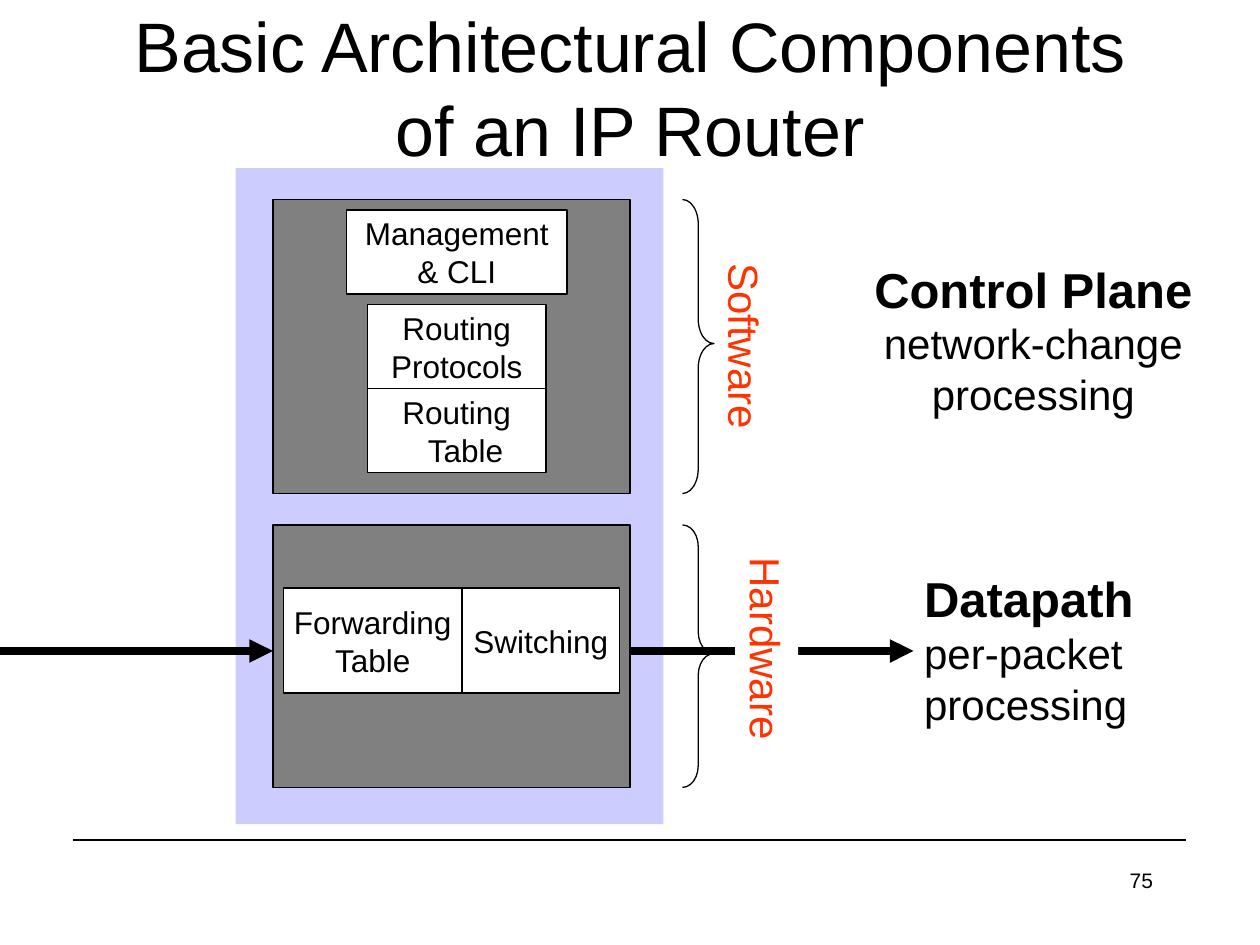
from lxml import etree
from pptx import Presentation
from pptx.dml.color import RGBColor
from pptx.enum.shapes import MSO_CONNECTOR, MSO_SHAPE
from pptx.enum.text import MSO_ANCHOR, PP_ALIGN
from pptx.oxml.ns import qn
from pptx.util import Pt

RECTANGLE, BRACE = MSO_SHAPE.RECTANGLE, MSO_SHAPE.RIGHT_BRACE
STRAIGHT = MSO_CONNECTOR.STRAIGHT
TOP, MIDDLE = MSO_ANCHOR.TOP, MSO_ANCHOR.MIDDLE
LEFT, CENTER, RIGHT = PP_ALIGN.LEFT, PP_ALIGN.CENTER, PP_ALIGN.RIGHT

BLACK = RGBColor(0x00, 0x00, 0x00)
WHITE = RGBColor(0xFF, 0xFF, 0xFF)
GRAY = RGBColor(0x80, 0x80, 0x80)
LAVENDER = RGBColor(0xCC, 0xCC, 0xFF)
RED = RGBColor(0xFF, 0x33, 0x00)

FONT = "Arial"
THIN, THICK = 0.75, 4.5

# Boxes are (left, top, width, height) in points
ROUTER = (134.64, 96, 244.5, 375)
PLANES = [(156, 114, 204, 168), (156, 300, 204, 150)]
BRACE_LEFT, BRACE_WIDTH = 390, 18
BRACE_CURVES = [0.78, 0.69]
BRACE_POINT = 0.49

COMPONENTS = [
    (["Switching"], (264, 336, 90, 60)),
    (["Forwarding", "Table"], (162, 336, 102, 60)),
    (["Routing", "Table"], (210, 222, 102, 48)),
    (["Routing", "Protocols"], (210, 174, 102, 48)),
    (["Management", "& CLI"], (198, 120, 126, 48)),
]
TABLE_INDENT = {("Routing", "Table"): 10}

TITLE = "Basic Architectural Components\vof an IP Router"
TITLE_BOX = (54, 4.5, 612, 90)
DESCRIPTIONS = [
    (["Control Plane", "network-change", "processing"], (491, 144.5, 199, 99.5), CENTER),
    (["Datapath", "per-packet", "processing"], (521, 321.5, 138.5, 99.5), LEFT),
]
SIDE_LABELS = [
    ("Software", (370.5, 180, 110, 36.5), None),
    ("Hardware", (376, 355.5, 124, 36), WHITE),
]
PAGE_NUMBER, PAGE_NUMBER_BOX = "75", (516, 492, 150, 36)

FLOW_Y = 372
FLOWS = [(360, 522), (0, 156)]
FOOTER_RULE = (42, 678, 480)


def write(shape, lines, align=LEFT, anchor=TOP, wrap=True):
    """Fill a shape with lines of (text, format values)."""
    frame = shape.text_frame
    frame.word_wrap, frame.vertical_anchor = wrap, anchor
    for index, (text, values) in enumerate(lines):
        para = frame.paragraphs[0] if index == 0 else frame.add_paragraph()
        para.alignment = align
        para.text = text
        look = {"name": FONT, "bold": False, **values}
        color = look.pop("color", BLACK)
        for key, value in look.items():
            setattr(para.font, key, value)
        para.font.color.rgb = color


def add_shape(page, kind, box, fill=None, line=None):
    shape = page.shapes.add_shape(kind, *map(Pt, box))
    shape.shadow.inherit = False
    if fill is None:
        shape.fill.background()
    else:
        shape.fill.solid()
        shape.fill.fore_color.rgb = fill
    if line is None:
        shape.line.fill.background()
    else:
        shape.line.color.rgb = line
        shape.line.width = Pt(THIN)
    return shape


def add_text(page, box, lines, **layout):
    shape = page.shapes.add_textbox(*map(Pt, box))
    write(shape, lines, **layout)


def add_rule(page, start, end, y, width, arrow=False):
    """Draw a level line, with an arrowhead at its end if asked."""
    rule = page.shapes.add_connector(STRAIGHT, Pt(start), Pt(y), Pt(end), Pt(y))
    rule.line.color.rgb = BLACK
    rule.line.width = Pt(width)
    if arrow:
        outline = rule.line._get_or_add_ln()
        etree.SubElement(outline, qn("a:tailEnd"), type="triangle")
    etree.SubElement(rule._element.spPr, qn("a:effectLst"))


def main():
    deck = Presentation()
    deck.slide_width, deck.slide_height = Pt(720), Pt(540)
    page = deck.slides.add_slide(deck.slide_layouts[6])

    add_rule(page, *FOOTER_RULE, THIN)
    add_text(page, PAGE_NUMBER_BOX, [(PAGE_NUMBER, {"size": Pt(12)})], align=RIGHT)

    add_shape(page, RECTANGLE, ROUTER, LAVENDER)
    for start, end in FLOWS:
        add_rule(page, start, end, FLOW_Y, THICK, arrow=True)
    for box in PLANES:
        add_shape(page, RECTANGLE, box, GRAY, BLACK)

    add_text(page, TITLE_BOX, [(TITLE, {"size": Pt(40)})], align=CENTER, anchor=MIDDLE)
    for (heading, *details), box, align in DESCRIPTIONS:
        lines = [(heading, {"size": Pt(28), "bold": True})]
        lines += [(detail, {"size": Pt(24)}) for detail in details]
        add_text(page, box, lines, align=align, wrap=False)

    for names, box in COMPONENTS:
        component = add_shape(page, RECTANGLE, box, WHITE, BLACK)
        frame = component.text_frame
        frame.margin_left = frame.margin_right = 0
        lines = [(name, {"size": Pt(18)}) for name in names]
        write(component, lines, align=CENTER, anchor=MIDDLE)
        indent = TABLE_INDENT.get(tuple(names))
        if indent:
            properties = frame.paragraphs[-1]._p.get_or_add_pPr()
            properties.set("marL", str(Pt(indent)))

    for plane, curve, (label, box, fill) in zip(PLANES, BRACE_CURVES, SIDE_LABELS):
        _, top, _, height = plane
        brace = add_shape(page, BRACE, (BRACE_LEFT, top, BRACE_WIDTH, height), line=BLACK)
        brace.adjustments[0], brace.adjustments[1] = curve, BRACE_POINT
        side = add_shape(page, RECTANGLE, box, fill)
        side.rotation = 90
        write(side, [(label, {"size": Pt(24), "color": RED})], wrap=False)

    deck.save("out.pptx")


if __name__ == "__main__":
    main()
